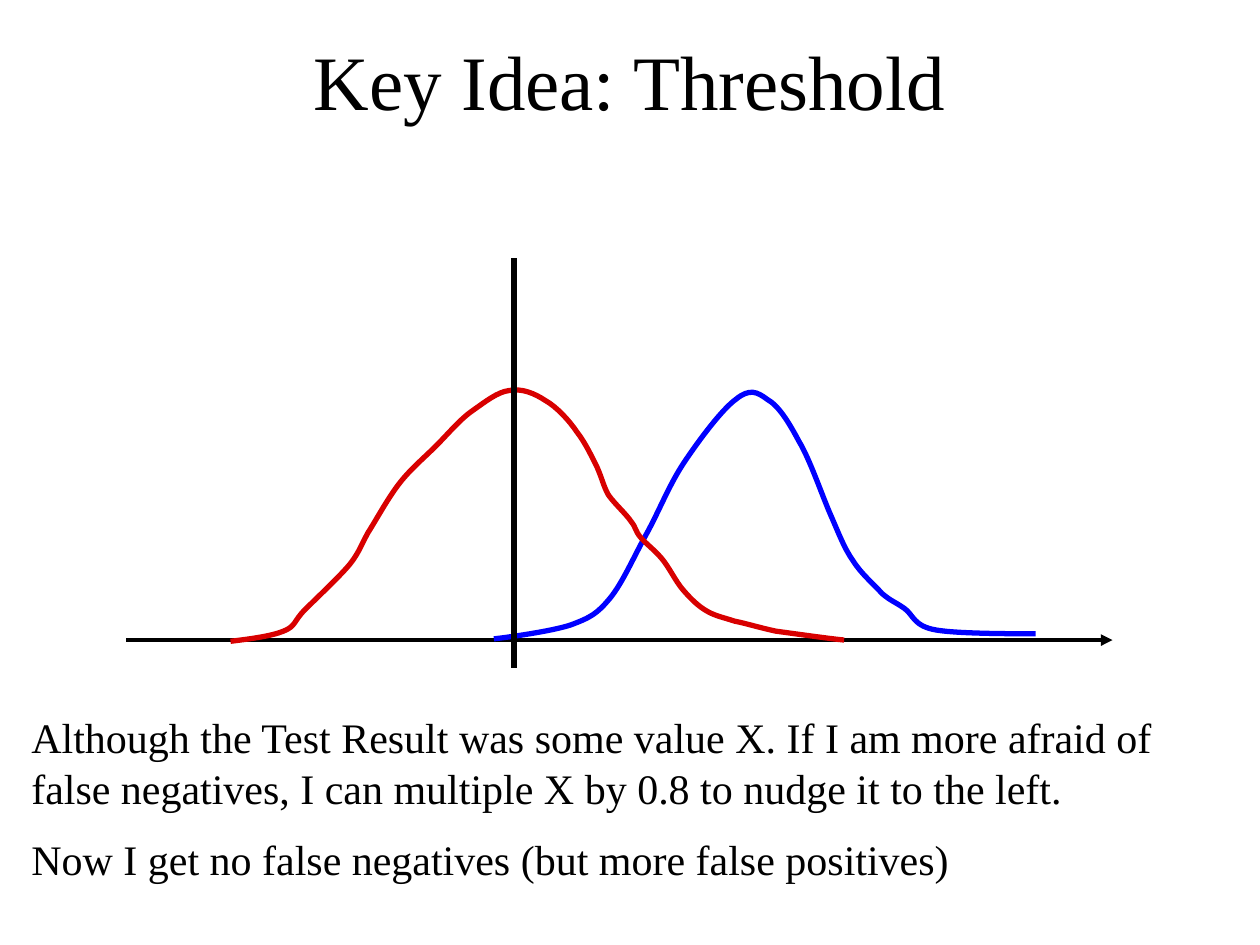
from dataclasses import dataclass

from lxml.etree import SubElement
from pptx import Presentation
from pptx.dml.color import RGBColor
from pptx.enum.shapes import MSO_CONNECTOR as Connector
from pptx.enum.text import MSO_ANCHOR as Anchor, PP_ALIGN as Align
from pptx.oxml.ns import qn
from pptx.util import Inches, Pt

BLACK = RGBColor(0x00, 0x00, 0x00)
BLUE = RGBColor(0x00, 0x00, 0xFF)
RED = RGBColor(0xD8, 0x00, 0x00)
FONT = "Times New Roman"
UNITS_PER_INCH = 1000

Point = tuple[float, float]


@dataclass(frozen=True)
class Curve:
    color: RGBColor
    start: Point
    beziers: list[tuple[float, ...]]


@dataclass(frozen=True)
class Axis:
    start: Point
    end: Point
    weight: float
    arrow: bool = False


@dataclass(frozen=True)
class Passage:
    box: tuple[float, float, float, float]
    paragraphs: list[str]
    size: int
    align: Align = Align.LEFT
    anchor: Anchor = Anchor.TOP
    inset: float = 0.05


AXES = [
    Axis((1, 5.08), (8.83, 5.08), 2.25, arrow=True),
    Axis((4.08, 2.05), (4.08, 5.3), 3),
]

POSITIVES = Curve(BLUE, (3.92, 5.07), [
    (4.02, 5.06, 4.38, 5.01, 4.53, 4.96),
    (4.69, 4.9, 4.74, 4.87, 4.84, 4.75),
    (4.94, 4.63, 5.03, 4.42, 5.13, 4.24),
    (5.23, 4.06, 5.31, 3.85, 5.43, 3.67),
    (5.55, 3.49, 5.73, 3.25, 5.84, 3.17),
    (5.95, 3.08, 6.01, 3.11, 6.09, 3.17),
    (6.18, 3.22, 6.26, 3.35, 6.34, 3.5),
    (6.43, 3.65, 6.52, 3.92, 6.59, 4.08),
    (6.66, 4.24, 6.7, 4.35, 6.77, 4.45),
    (6.84, 4.56, 6.94, 4.64, 7, 4.71),
    (7.07, 4.77, 7.11, 4.78, 7.18, 4.83),
    (7.25, 4.88, 7.25, 4.97, 7.43, 5),
    (7.6, 5.03, 8.05, 5.03, 8.22, 5.03),
])

NEGATIVES = Curve(RED, (1.83, 5.09), [
    (1.99, 5.07, 2.15, 5.05, 2.25, 5.01),
    (2.35, 4.97, 2.33, 4.93, 2.42, 4.84),
    (2.5, 4.76, 2.66, 4.61, 2.75, 4.51),
    (2.84, 4.41, 2.86, 4.34, 2.92, 4.23),
    (2.99, 4.12, 3.07, 3.97, 3.16, 3.85),
    (3.25, 3.73, 3.36, 3.64, 3.46, 3.54),
    (3.56, 3.44, 3.65, 3.33, 3.75, 3.26),
    (3.85, 3.19, 3.95, 3.11, 4.04, 3.1),
    (4.14, 3.08, 4.24, 3.12, 4.33, 3.18),
    (4.42, 3.23, 4.52, 3.34, 4.58, 3.43),
    (4.65, 3.52, 4.7, 3.63, 4.74, 3.71),
    (4.78, 3.8, 4.79, 3.86, 4.83, 3.93),
    (4.88, 4, 4.97, 4.08, 5.01, 4.14),
    (5.05, 4.19, 5.04, 4.21, 5.08, 4.26),
    (5.12, 4.31, 5.19, 4.36, 5.25, 4.43),
    (5.31, 4.5, 5.36, 4.61, 5.42, 4.68),
    (5.48, 4.75, 5.54, 4.81, 5.61, 4.85),
    (5.68, 4.89, 5.74, 4.9, 5.83, 4.93),
    (5.93, 4.95, 6.02, 4.98, 6.16, 5.01),
    (6.31, 5.03, 6.59, 5.07, 6.7, 5.08),
])

EXPLANATION = Passage((0.15, 5.6, 9.68, 1.51), [
    "Although the Test Result was some value X. If I am more afraid of "
    "false negatives, I can multiple X by 0.8 to nudge it to the left.",
    "Now I get no false negatives (but more false positives)",
], 24)
TITLE = Passage((0.75, 0.17, 8.5, 0.92), ["Key Idea: Threshold"], 44,
                Align.CENTER, Anchor.MIDDLE, 0)


def draw_axis(slide, axis: Axis) -> None:
    ends = [Inches(value) for value in axis.start + axis.end]
    stroke = slide.shapes.add_connector(Connector.STRAIGHT, *ends)
    stroke.line.color.rgb = BLACK
    stroke.line.width = Pt(axis.weight)
    if axis.arrow:
        SubElement(stroke.line._get_or_add_ln(), qn("a:tailEnd"), type="triangle")
    SubElement(stroke._element.spPr, qn("a:effectLst"))


def draw_curve(slide, curve: Curve) -> None:
    points = [(round(b[i] * UNITS_PER_INCH), round(b[i + 1] * UNITS_PER_INCH))
              for b in curve.beziers for i in (0, 2, 4)]
    start_x, start_y = (round(v * UNITS_PER_INCH) for v in curve.start)
    builder = slide.shapes.build_freeform(
        start_x, start_y, scale=Inches(1) / UNITS_PER_INCH)
    builder.add_line_segments(points, close=False)
    bell = builder.convert_to_shape()
    outline = next(bell._element.iter(qn("a:path")))
    segments = outline.findall(qn("a:lnTo"))
    for first in range(0, len(segments), 3):
        bezier = SubElement(outline, qn("a:cubicBezTo"))
        for segment in segments[first:first + 3]:
            bezier.append(segment[0])
            outline.remove(segment)
    bell.shadow.inherit = False
    bell.fill.background()
    bell.line.color.rgb = curve.color
    bell.line.width = Pt(3)


def write_passage(slide, passage: Passage) -> None:
    frame = slide.shapes.add_textbox(*map(Inches, passage.box)).text_frame
    frame.word_wrap = True
    frame.vertical_anchor = passage.anchor
    frame.margin_top = frame.margin_bottom = Inches(passage.inset)
    for index, wording in enumerate(passage.paragraphs):
        paragraph = frame.add_paragraph() if index else frame.paragraphs[0]
        paragraph.alignment = passage.align
        if index:
            paragraph.space_before = Pt(passage.size / 2)
        run = paragraph.add_run()
        run.text = wording
        run.font.name = FONT
        run.font.size = Pt(passage.size)
        run.font.color.rgb = BLACK


def main() -> None:
    deck = Presentation()
    deck.slide_width, deck.slide_height = Inches(10), Inches(7.5)
    slide = deck.slides.add_slide(deck.slide_layouts[6])
    result_axis, threshold = AXES
    draw_axis(slide, result_axis)
    write_passage(slide, EXPLANATION)
    for curve in (POSITIVES, NEGATIVES):
        draw_curve(slide, curve)
    draw_axis(slide, threshold)
    write_passage(slide, TITLE)
    deck.save("out.pptx")


if __name__ == "__main__":
    main()
